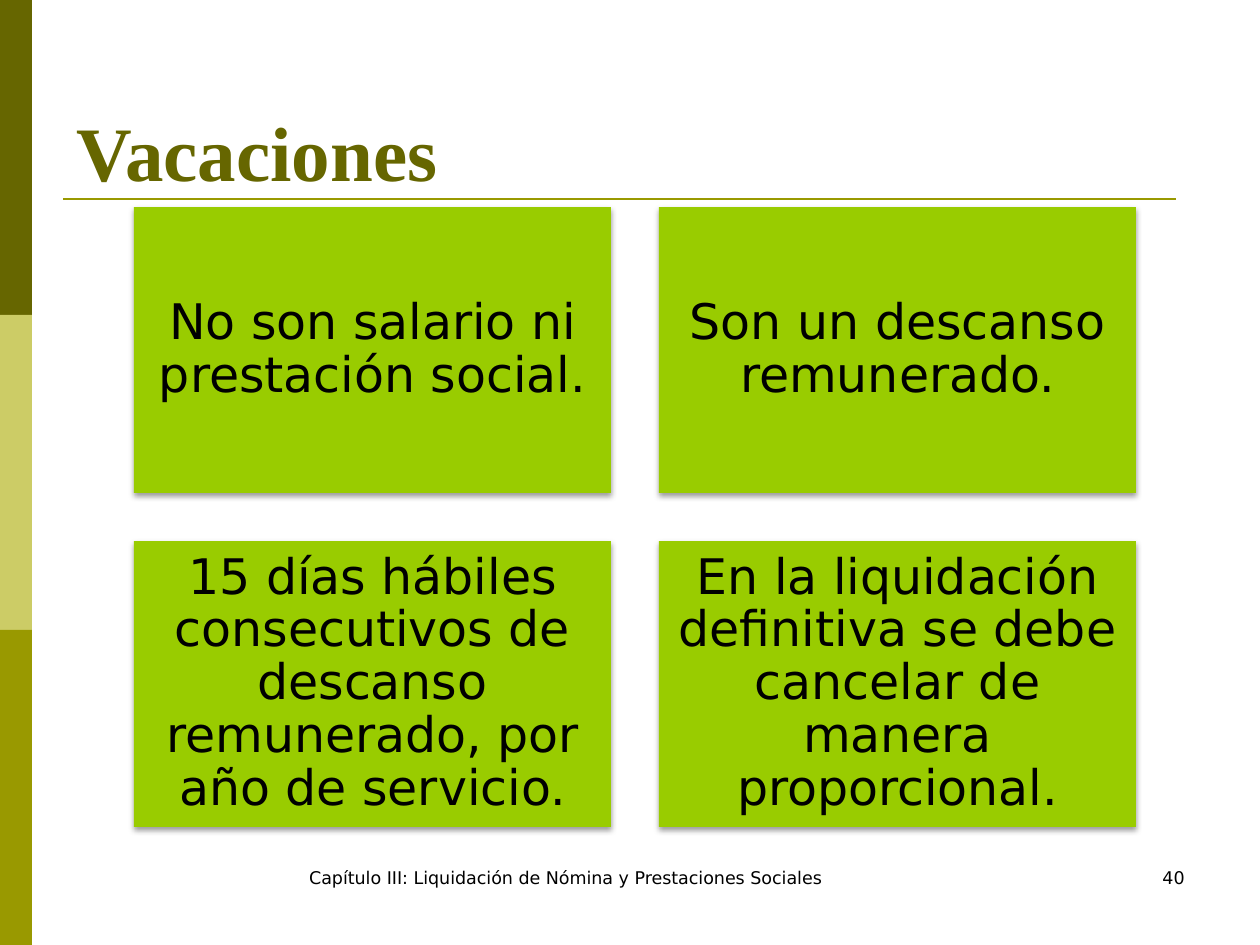
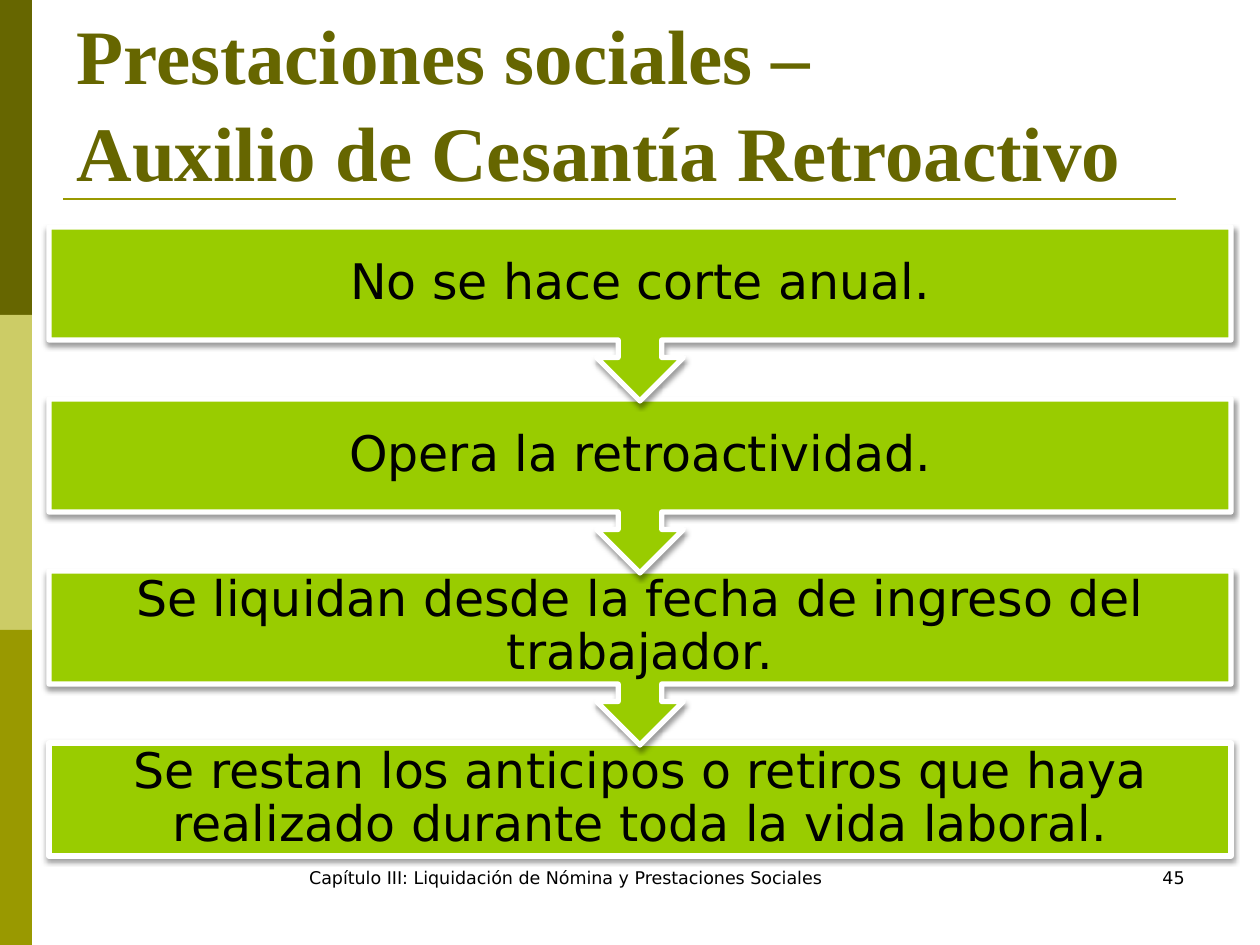
from lxml import etree
from pptx import Presentation
from pptx import util as u
from pptx.dml.color import RGBColor
from pptx.enum import shapes, text
from pptx.oxml.ns import qn

SCALE = 914400 / 126  # EMU per px

OLIVE = RGBColor(0x66, 0x66, 0x00)
SAND = RGBColor(0xCC, 0xCC, 0x66)
MOSS = RGBColor(0x99, 0x99, 0x00)
GREEN = RGBColor(0x99, 0xCC, 0x00)
WHITE = RGBColor(0xFF, 0xFF, 0xFF)
BLACK = RGBColor(0, 0, 0)
TITLE_FONT, BODY_FONT = "Times New Roman", "DejaVu Sans"
FOOTER = "Capítulo III: Liquidación de Nómina y Prestaciones Sociales"

SLIDES = [
    ("40", ["Vacaciones"]),
    ("45", ["Prestaciones sociales –", "Auxilio de Cesantía Retroactivo"]),
]
VACATION_FACTS = [
    "No son salario ni prestación social.",
    "Son un descanso remunerado.",
    "15 días hábiles consecutivos de descanso remunerado, por año de servicio.",
    "En la liquidación definitiva se debe cancelar de manera proporcional.",
]
SEVERANCE_STEPS = [
    "No se hace corte anual.",
    "Opera la retroactividad.",
    "Se liquidan desde la fecha de ingreso del trabajador.",
    "Se restan los anticipos o retiros que haya realizado durante toda la vida laboral.",
]


def px(*values):
    return [u.Emu(round(v * SCALE)) for v in values]


def add_card(slide, kind, box, words, inset):
    """Green shape with a soft shadow and centred text."""
    sp = slide.shapes.add_shape(kind, *px(*box))
    sp.fill.solid()
    sp.fill.fore_color.rgb = GREEN
    sp.line.fill.background()
    sp.shadow.inherit = False
    effects = sp._element.spPr.find(qn("a:effectLst"))
    shadow = etree.SubElement(effects, qn("a:outerShdw"), blurRad="40000",
                              dist="20000", dir="5400000", rotWithShape="0")
    color = etree.SubElement(shadow, qn("a:srgbClr"), val="000000")
    etree.SubElement(color, qn("a:alpha"), val="38000")
    tf = sp.text_frame
    tf.word_wrap = True
    tf.vertical_anchor = text.MSO_ANCHOR.MIDDLE
    tf.margin_left, tf.margin_top, tf.margin_right, tf.margin_bottom = px(*[inset] * 4)
    p = tf.paragraphs[0]
    p.alignment = text.PP_ALIGN.CENTER
    p.line_spacing = 0.9
    r = p.add_run()
    r.text = words
    r.font.name, r.font.size = BODY_FONT, u.Pt(28)
    r.font.color.rgb = BLACK
    return sp


prs = Presentation()
prs.slide_width, prs.slide_height = px(1260, 945)
layout = prs.slide_layouts[5]
pages = [prs.slides.add_slide(layout) for _ in SLIDES]

# Shared layout: title place, side bands and rule under the title
title = layout.placeholders[0]
title.left, title.top, title.width, title.height = px(64, 45, 1134, 158)

decor = []
for i, color in enumerate([OLIVE, SAND, MOSS]):
    band = pages[0].shapes.add_shape(shapes.MSO_SHAPE.RECTANGLE, *px(0, i * 315, 32, 315))
    band.fill.solid()
    band.fill.fore_color.rgb = color
    band.line.fill.background()
    band.shadow.inherit = False
    decor.append(band)
rule = pages[0].shapes.add_connector(shapes.MSO_CONNECTOR.STRAIGHT, *px(63, 199, 1176, 199))
rule.line.color.rgb = MOSS
rule.line.width = u.Pt(1.5)
etree.SubElement(rule._element.spPr, qn("a:effectLst"))
decor.append(rule)
for s in decor:
    layout.shapes._spTree.append(s._element)

# Titles, footers and page numbers
for slide, (number, title_lines) in zip(pages, SLIDES):
    tf = slide.shapes.title.text_frame
    tf.auto_size = text.MSO_AUTO_SIZE.NONE
    tf.vertical_anchor = text.MSO_ANCHOR.BOTTOM
    p = tf.paragraphs[0]
    p.alignment = text.PP_ALIGN.LEFT
    p.line_spacing = 1.05
    for i, line in enumerate(title_lines):
        if i:
            p.add_line_break()
        r = p.add_run()
        r.text = line
        r.font.name, r.font.size, r.font.bold = TITLE_FONT, u.Pt(44), True
        r.font.color.rgb = OLIVE

    for left, width, words, align in [
        (236, 659, FOOTER, text.PP_ALIGN.CENTER),
        (903, 294, number, text.PP_ALIGN.RIGHT),
    ]:
        tf = slide.shapes.add_textbox(*px(left, 861, width, 63)).text_frame
        tf.word_wrap = True
        p = tf.paragraphs[0]
        p.alignment = align
        r = p.add_run()
        r.text = words
        r.font.name, r.font.size = BODY_FONT, u.Pt(10)
        r.font.color.rgb = BLACK

vacations, severance = pages

# Vacations: two by two grid of cards
CARD_W, CARD_H, GAP = 477, 286, 48
for i, fact in enumerate(VACATION_FACTS):
    row, col = divmod(i, 2)
    box = (134 + col * (CARD_W + GAP), 207 + row * (CARD_H + GAP), CARD_W, CARD_H)
    add_card(vacations, shapes.MSO_SHAPE.RECTANGLE, box, fact, 15)

# Severance: arrow callouts stacked from the bottom up, ending in a plain box
last = len(SEVERANCE_STEPS) - 1
for i in range(last, -1, -1):
    if i == last:
        kind, height = shapes.MSO_SHAPE.RECTANGLE, 113
    else:
        kind, height = shapes.MSO_SHAPE.DOWN_ARROW_CALLOUT, 174
    sp = add_card(severance, kind, (49, 227 + i * 172, 1182, height), SEVERANCE_STEPS[i], 28)
    sp.line.color.rgb = WHITE
    sp.line.width = u.Pt(3)

prs.save("out.pptx")
